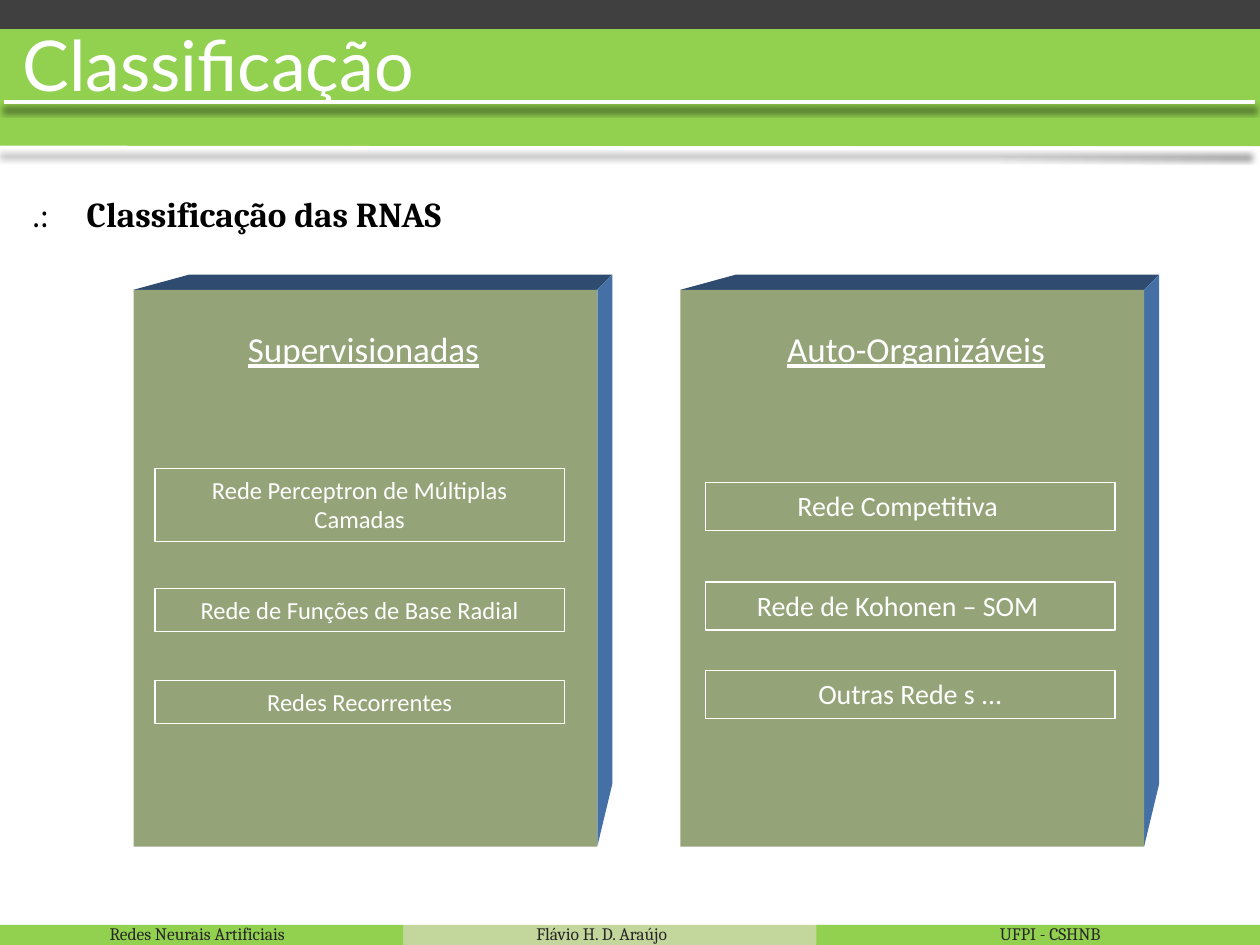
from lxml import etree
from pptx import Presentation
from pptx.dml.color import RGBColor
from pptx.enum.shapes import MSO_CONNECTOR as Conn, MSO_SHAPE as Shape
from pptx.enum.text import MSO_ANCHOR as Anchor, PP_ALIGN as Align
from pptx.oxml import parse_xml
from pptx.oxml.ns import nsdecls, qn
from pptx.util import Inches, Pt

WHITE = RGBColor(0xFF, 0xFF, 0xFF)
BLACK = RGBColor(0, 0, 0)
DARK = RGBColor(0x40, 0x40, 0x40)
INK = RGBColor(0x26, 0x26, 0x26)
GREEN = RGBColor(0x92, 0xD0, 0x50)
PALE = RGBColor(0xC3, 0xD6, 0x9B)
OLIVE = RGBColor(0x95, 0xA4, 0x78)
NAVY = RGBColor(0x2F, 0x4B, 0x70)
BLUE = RGBColor(0x45, 0x70, 0xA5)

PANEL_W = 3.68
TOP, BASE = 2.3, 6.72
DEPTH = 0.12
BOX_W = 3.25

SHADOW = (
    f'<a:effectLst {nsdecls("a")}>'
    '<a:outerShdw blurRad="50800" dist="50800" dir="5400000" algn="t" rotWithShape="0">'
    '<a:srgbClr val="000000"><a:alpha val="58000"/></a:srgbClr>'
    '</a:outerShdw></a:effectLst>'
)


def paint(shape, fill):
    shape.shadow.inherit = False
    shape.fill.solid()
    shape.fill.fore_color.rgb = fill
    shape.line.fill.background()


def add_bar(slide, x, y, w, h, fill):
    bar = slide.shapes.add_shape(
        Shape.RECTANGLE, Inches(x), Inches(y), Inches(w), Inches(h))
    paint(bar, fill)


def add_rule(slide, x1, y1, x2, y2):
    rule = slide.shapes.add_connector(
        Conn.STRAIGHT, Inches(x1), Inches(y1), Inches(x2), Inches(y2))
    rule.line.color.rgb = WHITE
    rule.line.width = Pt(2)
    rule._element.spPr.append(parse_xml(SHADOW))


def style(run, size, font, color):
    run.font.size = Pt(size)
    run.font.name = font
    run.font.color.rgb = color


def write(shape, text, size, font, color, align=Align.LEFT):
    frame = shape.text_frame
    frame.word_wrap = True
    frame.text = text
    para = frame.paragraphs[0]
    para.alignment = align
    for run in para.runs:
        style(run, size, font, color)
    return para


def add_text(slide, x, y, w, h, *look):
    box = slide.shapes.add_textbox(Inches(x), Inches(y), Inches(w), Inches(h))
    return write(box, *look)


def add_heading(slide, mark, text):
    para = add_text(slide, 0.16, 1.48, 9.61, 5.55, mark + "\t", 20, "Cambria", BLACK)
    # Hanging indent: the tab after the mark lands on the margin
    props = para._p.get_or_add_pPr()
    props.set("marL", str(Inches(0.43)))
    props.set("indent", str(-Inches(0.43)))
    run = para.add_run()
    run.text = text
    style(run, 20, "Cambria", BLACK)
    run.font.bold = True


def add_face(slide, points, fill):
    spots = [(Inches(x), Inches(y)) for x, y in points]
    pen = slide.shapes.build_freeform(*spots[0])
    pen.add_line_segments(spots[1:], close=True)
    paint(pen.convert_to_shape(), fill)


def add_panel(slide, x):
    right, back = x + PANEL_W, TOP - DEPTH
    far = right + DEPTH
    add_face(slide, [(x, TOP), (x + 0.44, back), (far, back), (right, TOP)], NAVY)
    add_face(slide, [(right, TOP), (far, back), (far, 6.22), (right, BASE)], BLUE)
    add_bar(slide, x, TOP, PANEL_W, BASE - TOP, OLIVE)


def add_title(slide, x, w, text):
    para = add_text(slide, x, 2.55, w, 0.44, text, 20, "Calibri", WHITE, Align.CENTER)
    para.runs[0].font.underline = True


def add_box(slide, x, y, h, text, size, shift=0):
    box = slide.shapes.add_shape(
        Shape.RECTANGLE, Inches(x), Inches(y), Inches(BOX_W), Inches(h))
    box.shadow.inherit = False
    box.fill.background()
    box.line.color.rgb = WHITE
    box.line.width = Pt(0.75)
    write(box, text, size, "Calibri", WHITE, Align.CENTER)
    frame = box.text_frame
    frame.vertical_anchor = Anchor.TOP
    frame.margin_right = Inches(0.1 + shift)


def main():
    prs = Presentation()
    prs.slide_width, prs.slide_height = Inches(10), Inches(7.5)
    slide = prs.slides.add_slide(prs.slide_layouts[6])

    # Header
    add_bar(slide, 0, 0.23, 10, 0.93, GREEN)
    add_text(slide, 0.08, 0.12, 8.75, 0.77, "Classificação", 40, "Lato", WHITE)
    add_rule(slide, 0.03, 0.81, 9.96, 0.81)
    add_rule(slide, 0, 1.17, 9.92, 1.18)
    add_bar(slide, 0, 0, 10, 0.23, DARK)

    add_heading(slide, ".:", "Classificação das RNAS")

    # Footer: bar left and width, text left and width
    for x, w, fill, left, width, text in (
        (3.2, 3.36, PALE, 4.06, 1.43, "Flávio H. D. Araújo"),
        (0, 3.2, GREEN, 0, 3.13, "Redes Neurais Artificiais"),
        (6.48, 3.52, GREEN, 7.74, 1.19, "UFPI - CSHNB"),
    ):
        add_bar(slide, x, 7.34, w, 0.16, fill)
        add_text(slide, left, 7.28, width, 0.27, text, 10, "Cambria", INK, Align.CENTER)

    # Supervised networks
    add_panel(slide, 1.06)
    add_title(slide, 1.26, 3.25, "Supervisionadas")
    for y, h, text in (
        (3.72, 0.58, "Rede Perceptron de Múltiplas Camadas"),
        (4.67, 0.34, "Rede de Funções de Base Radial"),
        (5.4, 0.34, "Redes Recorrentes"),
    ):
        add_box(slide, 1.23, y, h, text, 14)

    # Self-organizing networks
    add_panel(slide, 5.4)
    add_title(slide, 5.56, 3.42, "Auto-Organizáveis")
    for y, text, shift in (
        (3.83, "Rede Competitiva", 0.2),
        (4.62, "Rede de Kohonen – SOM", 0.2),
        (5.32, "Outras Rede s ...", 0),
    ):
        add_box(slide, 5.6, y, 0.38, text, 16, shift)

    prs.save("out.pptx")


if __name__ == "__main__":
    main()
